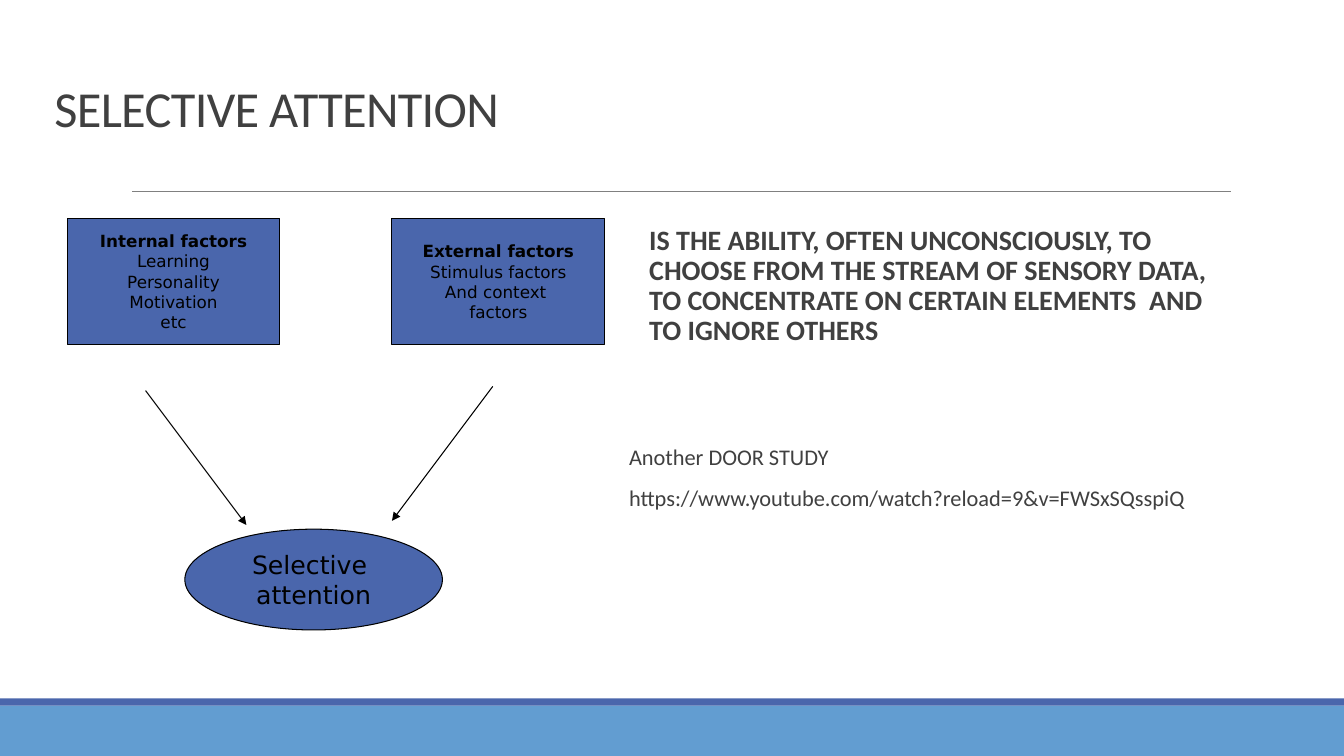
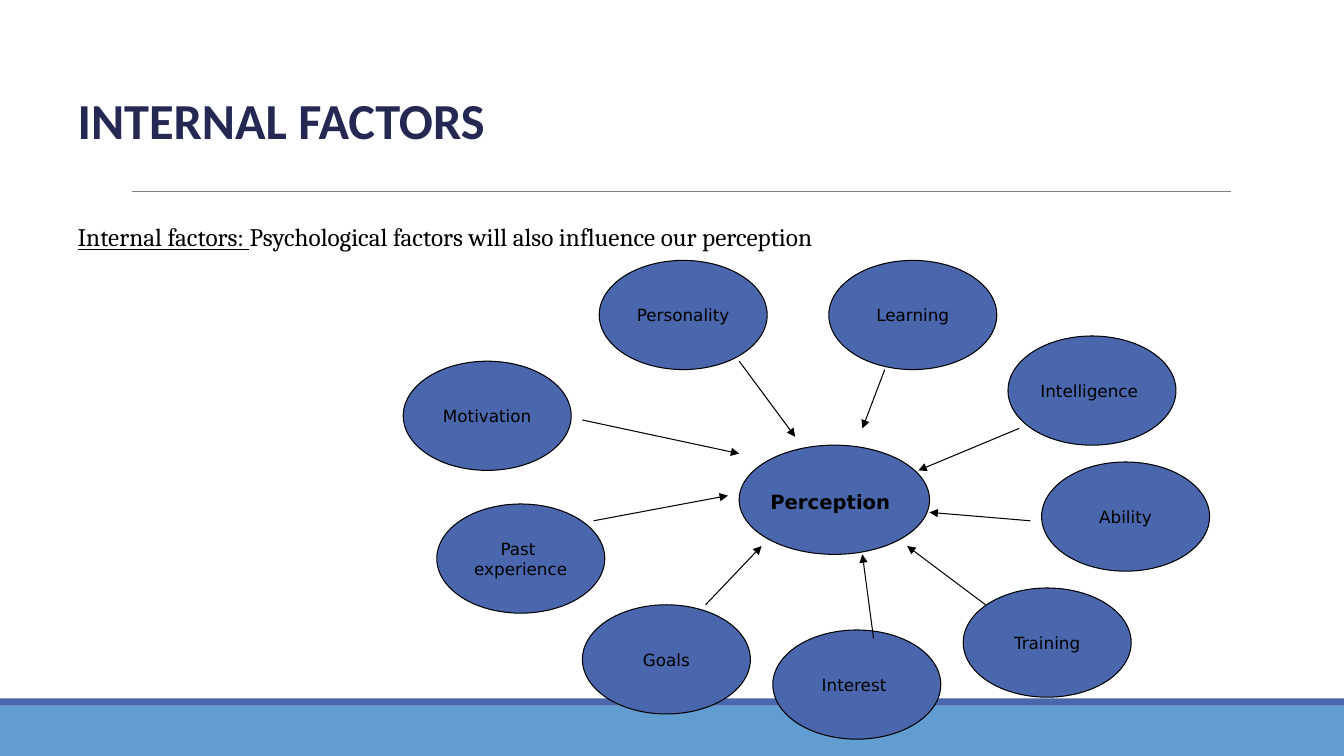
from dataclasses import dataclass
from typing import Any, Optional

from lxml.etree import SubElement
from pptx import Presentation
from pptx.dml.color import RGBColor
from pptx.enum.shapes import MSO_CONNECTOR, MSO_SHAPE
from pptx.enum.text import MSO_ANCHOR, MSO_AUTO_SIZE, PP_ALIGN
from pptx.oxml.ns import qn
from pptx.util import Inches, Pt


@dataclass(frozen=True)
class Theme:
    blue: str = "4A66AC"
    sky: str = "629DD1"
    navy: str = "242852"
    gray: str = "808080"
    dark: str = "404040"
    black: str = "000000"
    head: str = "Calibri"
    serif: str = "Cambria"
    label: str = "DejaVu Sans"
    huge: int = 36
    large: int = 20
    mid: int = 18
    core: int = 14
    body: int = 16
    small: int = 12
    edge: float = 0.75
    thin: float = 0.5


T = Theme()
WIDE, HIGH = Inches(13.333), Inches(7.5)
COLS, ROWS = 120, 90


@dataclass(frozen=True)
class Run:
    text: str
    size: float = T.small
    font: str = T.label
    color: str = T.black
    bold: bool = False
    under: bool = False
    track: int = 0


@dataclass(frozen=True)
class Line:
    runs: list[Run]
    align: PP_ALIGN = PP_ALIGN.LEFT
    before: float = 0
    pitch: float = 1
    left: float = 0
    first: float = 0


@dataclass(frozen=True)
class Node:
    col: float
    row: float
    lines: list[list[Run]]
    cols: float = 15
    rows: float = 13
    kind: MSO_SHAPE = MSO_SHAPE.OVAL


@dataclass(frozen=True)
class Arrow:
    col: float
    row: float
    to_col: float
    to_row: float


def across(cols: float) -> int:
    return round(WIDE * cols / COLS)


def down(rows: float) -> int:
    return round(HIGH * rows / ROWS)


def rgb(color: str) -> RGBColor:
    return RGBColor.from_string(color)


def write(frame: Any, lines: list[Line]) -> None:
    for i, line in enumerate(lines):
        para = frame.paragraphs[0] if i == 0 else frame.add_paragraph()
        props = para._p.get_or_add_pPr()
        props.set("marL", str(Inches(line.left)))
        props.set("indent", str(Inches(line.first)))
        SubElement(props, qn("a:buNone"))
        para.alignment = line.align
        para.line_spacing = line.pitch
        para.space_before = Pt(line.before)
        for item in line.runs:
            run = para.add_run()
            run.text = item.text
            font = run.font
            font.size, font.name = Pt(item.size), item.font
            font.bold, font.underline = item.bold, item.under
            font.color.rgb = rgb(item.color)
            if item.track:
                run._r.get_or_add_rPr().set("spc", str(item.track))


def fill_holder(holder: Any, area: tuple[float, ...], lines: list[Line],
                anchor: MSO_ANCHOR = MSO_ANCHOR.TOP, inset: float = 0.1) -> None:
    holder.left, holder.top, holder.width, holder.height = map(Inches, area)
    frame = holder.text_frame
    frame.word_wrap = True
    frame.auto_size = MSO_AUTO_SIZE.NONE
    frame.vertical_anchor = anchor
    frame.margin_left = frame.margin_right = Inches(inset)
    write(frame, lines)


def draw_shape(slide: Any, kind: MSO_SHAPE, area: tuple[int, ...],
               color: str, edge: Optional[str] = None) -> Any:
    shape = slide.shapes.add_shape(kind, *area)
    shape.shadow.inherit = False
    shape.fill.solid()
    shape.fill.fore_color.rgb = rgb(color)
    if edge:
        shape.line.color.rgb = rgb(edge)
        shape.line.width = Pt(T.edge)
    else:
        shape.line.fill.background()
    return shape


def draw_line(slide: Any, ends: tuple[int, ...], color: str,
              width: float, tip: bool = False) -> Any:
    line = slide.shapes.add_connector(MSO_CONNECTOR.STRAIGHT, *ends)
    line.line.color.rgb = rgb(color)
    line.line.width = Pt(width)
    if tip:
        SubElement(line.line._get_or_add_ln(), qn("a:tailEnd"), type="triangle")
    SubElement(line.element.spPr, qn("a:effectLst"))
    return line


def draw_node(slide: Any, node: Node) -> None:
    area = across(node.col), down(node.row), across(node.cols), down(node.rows)
    frame = draw_shape(slide, node.kind, area, T.blue, T.black).text_frame
    frame.word_wrap = False
    frame.vertical_anchor = MSO_ANCHOR.MIDDLE
    write(frame, [Line(runs, PP_ALIGN.CENTER) for runs in node.lines])


def draw_chart(slide: Any, nodes: list[Node], arrows: list[Arrow]) -> None:
    for node in nodes:
        draw_node(slide, node)
    for arrow in arrows:
        ends = (across(arrow.col), down(arrow.row),
                across(arrow.to_col), down(arrow.to_row))
        draw_line(slide, ends, T.black, T.edge, True)


def dress_master(deck: Any, slide: Any) -> None:
    rect = MSO_SHAPE.RECTANGLE
    rule = Inches(1.31), Inches(1.9), Inches(12.21), Inches(1.9)
    marks = [
        draw_shape(slide, rect, (0, Inches(7), WIDE, Inches(0.5)), T.sky),
        draw_shape(slide, rect, (0, Inches(6.93), WIDE, Inches(0.07)), T.blue),
        draw_line(slide, rule, T.gray, T.thin),
    ]
    for i, mark in enumerate(marks):
        mark.element.xpath(".//p:cNvPr")[0].set("id", str(20 + i))
        deck.slide_master.shapes.element.insert(2 + i, mark.element)


def box(col: float, head: str, items: list[str]) -> Node:
    lines = [[Run(head, bold=True)]] + [[Run(item)] for item in items]
    return Node(col, 26, lines, 19, 15, MSO_SHAPE.RECTANGLE)


def build_focus(slide: Any) -> None:
    title, body = slide.placeholders
    fill_holder(title, (0.44, 0.17, 12, 1.25), [
        Line([Run("SELECTIVE ATTENTION", T.huge, T.head, T.dark, track=-50)],
             pitch=0.85, left=0.35, first=-0.35),
    ], MSO_ANCHOR.BOTTOM)
    claim = ("IS THE ABILITY, OFTEN UNCONSCIOUSLY, TO CHOOSE FROM THE STREAM "
             "OF SENSORY DATA, TO CONCENTRATE ON CERTAIN ELEMENTS  AND "
             "TO IGNORE OTHERS")
    link = "https://www.youtube.com/watch?reload=9&v=FWSxSQsspiQ"
    fill_holder(body, (6.14, 2.19, 5.89, 4.54), [
        Line([Run(claim, T.large, T.head, T.dark, True)], pitch=0.9, left=0.3),
        *(Line([Run(text, T.body, T.head, T.dark)], before=gap, pitch=0.9,
               left=0.3, first=-0.2)
          for text, gap in (("Another DOOR STUDY", 71), (link, 12))),
    ], inset=0)
    goal = [[Run(text, T.mid)] for text in ("Selective ", "attention")]
    draw_chart(slide, [
        box(6, "Internal factors", ["Learning", "Personality", "Motivation", "etc"]),
        box(35, "External factors", ["Stimulus factors", "And context ", "factors"]),
        Node(16.5, 63, goal, 23, 12),
    ], [Arrow(13, 46.5, 22, 62.5), Arrow(44, 46, 35, 62)])


def build_inner(slide: Any) -> None:
    title, body = slide.placeholders
    fill_holder(title, (0.67, 0.58, 12, 0.95), [
        Line([Run("INTERNAL FACTORS", T.huge, T.head, T.navy, True)]),
    ], MSO_ANCHOR.BOTTOM)
    fill_holder(body, (0.67, 2.15, 12, 4.55), [
        Line([Run("Internal factors: ", T.mid, T.serif, under=True),
              Run("Psychological factors will also influence our perception",
                  T.mid, T.serif)]),
    ])
    spots = [
        (53.5, 31, ["Personality"]), (74, 31, ["Learning"]),
        (90, 40, ["Intelligence "]), (93, 55, ["Ability"]),
        (86, 70, ["Training"]), (69, 75, ["Interest "]),
        (52, 72, ["Goals"]), (39, 60, ["Past ", "experience"]),
        (36, 43, ["Motivation"]),
    ]
    hub = [[Run("Perception", T.core, bold=True), Run(" ", T.mid)]]
    nodes = [Node(col, row, [[Run(text)] for text in texts])
             for col, row, texts in spots]
    draw_chart(slide, [Node(66, 53, hub, 17), *nodes], [
        Arrow(66, 43, 71, 52), Arrow(79, 44, 77, 51), Arrow(91, 51, 82, 56),
        Arrow(92, 62, 83, 61), Arrow(88, 72, 81, 65), Arrow(78, 76, 77, 66),
        Arrow(63, 72, 68, 65), Arrow(53, 62, 65, 59), Arrow(52, 50, 66, 54),
    ])


def main() -> None:
    deck = Presentation()
    deck.slide_width, deck.slide_height = WIDE, HIGH
    slides = [deck.slides.add_slide(deck.slide_layouts[1]) for _ in range(2)]
    dress_master(deck, slides[0])
    build_focus(slides[0])
    build_inner(slides[1])
    deck.save("out.pptx")


if __name__ == "__main__":
    main()
